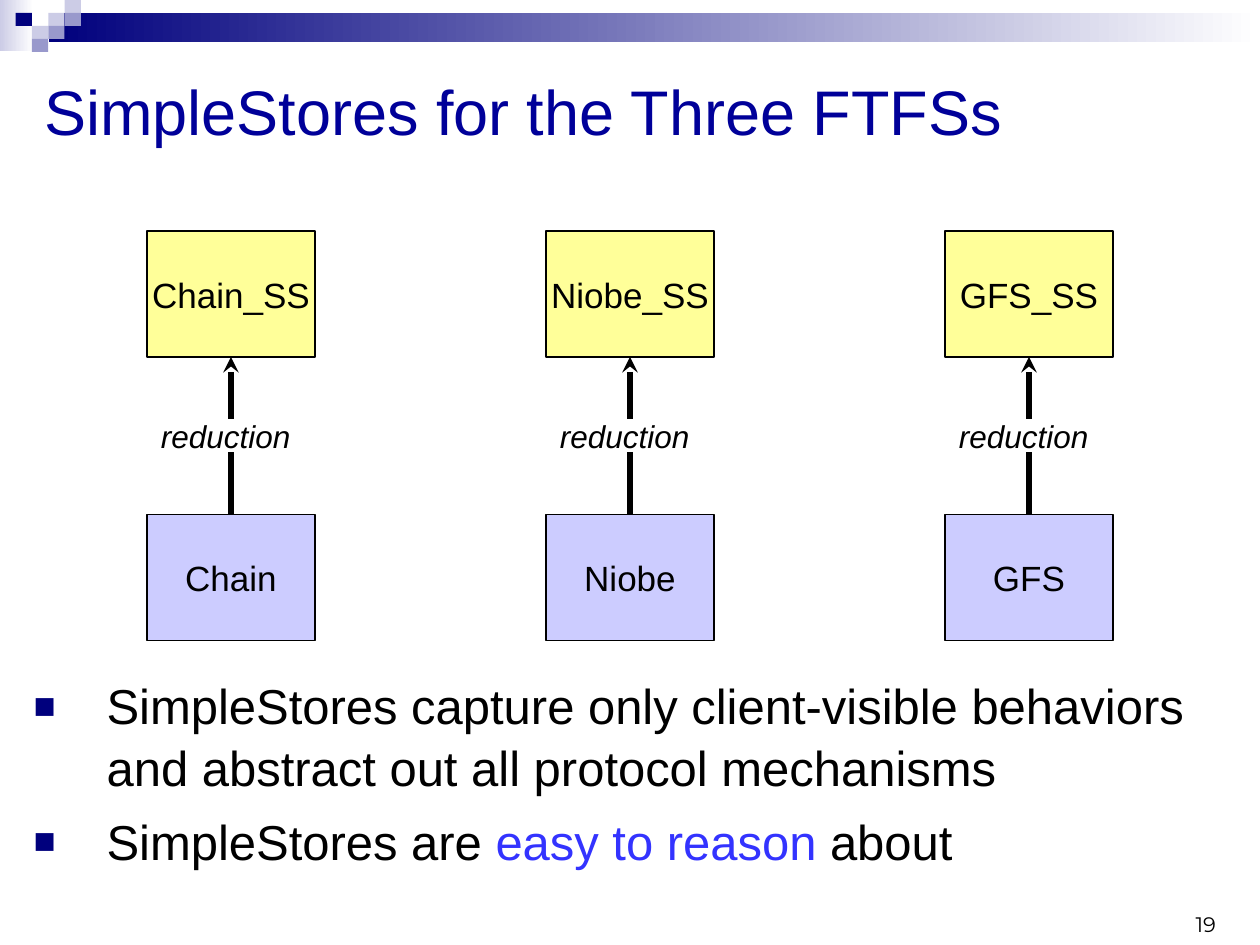
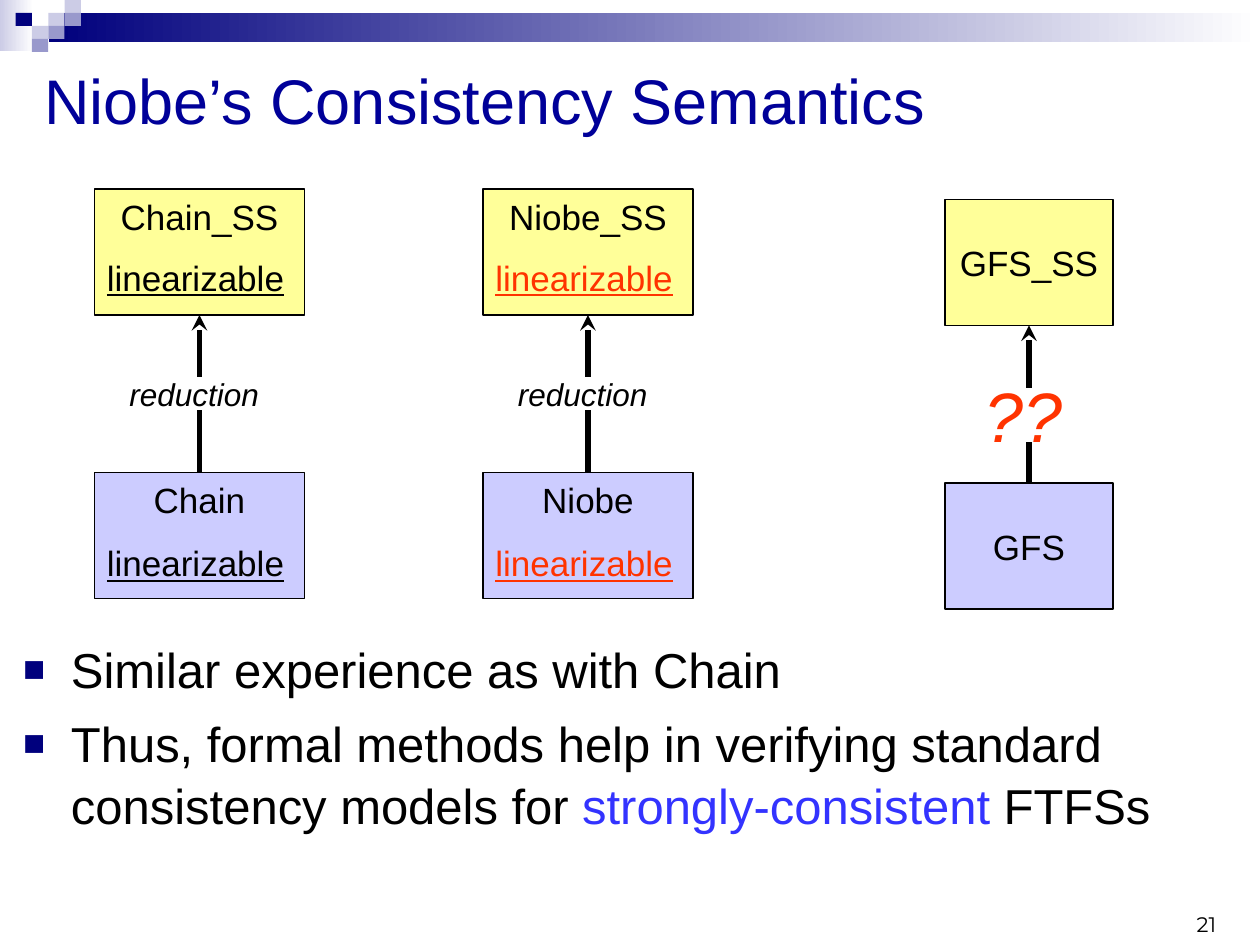
"""Build two slides that reduce storage protocols to their SimpleStores."""
from dataclasses import dataclass

from lxml import etree
from pptx import Presentation
from pptx.dml.color import RGBColor
from pptx.enum.shapes import MSO_CONNECTOR, MSO_SHAPE
from pptx.enum.text import MSO_ANCHOR, MSO_AUTO_SIZE, PP_ALIGN
from pptx.oxml.ns import qn
from pptx.util import Emu, Inches, Pt

RECTANGLE = MSO_SHAPE.RECTANGLE
STRAIGHT = MSO_CONNECTOR.STRAIGHT
TOP, MIDDLE, BOTTOM = MSO_ANCHOR.TOP, MSO_ANCHOR.MIDDLE, MSO_ANCHOR.BOTTOM
LEFT, CENTER, RIGHT = PP_ALIGN.LEFT, PP_ALIGN.CENTER, PP_ALIGN.RIGHT
NO_FIT = MSO_AUTO_SIZE.NONE
TOP_SIDE, BOTTOM_SIDE = 0, 2
COLUMNS, ROWS = 120, 90


@dataclass(frozen=True)
class Theme:
    font: str = "Arial"
    number_font: str = "Montserrat"
    title_color: str = "000099"
    ink: str = "000000"
    paper: str = "FFFFFF"
    accent: str = "3333FF"
    alert: str = "FF3300"
    store: str = "FFFF99"
    protocol: str = "CCCCFF"
    navy: str = "00007D"
    tile: str = "9999CC"
    pale_tile: str = "CCCCE6"
    title_size: int = 36
    body_size: int = 28
    box_size: int = 20
    label_size: int = 18
    question_size: int = 40
    number_size: int = 12
    outline: float = 0.75
    arrow: float = 3


class Deck:
    def __init__(self, theme):
        self.theme = theme
        self.presentation = Presentation()
        self.presentation.slide_width = Inches(10)
        self.presentation.slide_height = Inches(7.5)
        self.slide = None

    def place(self, column, row, width, height):
        cell_width = self.presentation.slide_width / COLUMNS
        cell_height = self.presentation.slide_height / ROWS
        return [Emu(round(value)) for value in (
            column * cell_width, row * cell_height,
            width * cell_width, height * cell_height)]

    def move(self, shape, cells):
        shape.left, shape.top, shape.width, shape.height = self.place(*cells)

    def style(self, run, size, color=None, font=None):
        run.font.size = Pt(size)
        run.font.name = font or self.theme.font
        run.font.color.rgb = RGBColor.from_string(color or self.theme.ink)

    def label(self, shape, text, size, color=None, font=None,
              align=LEFT, anchor=TOP, wrap=True):
        frame = shape.text_frame
        frame.text = text
        frame.word_wrap = wrap
        frame.auto_size = NO_FIT
        frame.vertical_anchor = anchor
        paragraph = frame.paragraphs[0]
        paragraph.alignment = align
        run = paragraph.runs[0]
        self.style(run, size, color, font)
        return run

    def rectangle(self, cells, fill, line=None):
        shape = self.slide.shapes.add_shape(RECTANGLE, *self.place(*cells))
        shape.shadow.inherit = False
        if isinstance(fill, tuple):
            shape.fill.gradient()
            shape.fill.gradient_angle = 180
            for stop, color in zip(shape.fill.gradient_stops, fill):
                stop.color.rgb = RGBColor.from_string(color)
        else:
            shape.fill.solid()
            shape.fill.fore_color.rgb = RGBColor.from_string(fill)
        if line:
            shape.line.color.rgb = RGBColor.from_string(line)
            shape.line.width = Pt(self.theme.outline)
        else:
            shape.line.fill.background()
        return shape

    def textbox(self, cells, text, size, **options):
        shape = self.slide.shapes.add_textbox(*self.place(*cells))
        return self.label(shape, text, size, **options)

    def header(self):
        theme = self.theme
        self.rectangle((0, 0, 3.2, 4.9), (theme.paper, theme.pale_tile))
        self.rectangle((4.7, 1.2, 115.3, 2.8), (theme.paper, theme.navy))
        width, height = 1.55, 1.24
        for column, row, color in (
                (2, 1, theme.pale_tile), (3, 0, theme.pale_tile),
                (3, 1, theme.tile), (1, 2, theme.pale_tile),
                (0, 1, theme.navy), (2, 2, theme.tile), (1, 3, theme.tile)):
            self.rectangle((1.5 + column * width, row * height, width, height), color)

    def add_slide(self, title, title_row, number):
        theme = self.theme
        layout = self.presentation.slide_layouts[1]
        self.slide = self.presentation.slides.add_slide(layout)
        self.header()
        self.textbox((89, 86, 28, 3.8), number, theme.number_size,
                     font=theme.number_font, align=RIGHT, anchor=BOTTOM)
        shape = self.slide.shapes.title
        self.move(shape, (3, title_row, 115, 11))
        self.label(shape, title, theme.title_size, theme.title_color, anchor=MIDDLE)

    def bullets(self, cells, items, indent):
        theme = self.theme
        body = self.slide.placeholders[1]
        self.move(body, cells)
        frame = body.text_frame
        frame.auto_size = NO_FIT
        for index, segments in enumerate(items):
            paragraph = frame.add_paragraph() if index else frame.paragraphs[0]
            paragraph.space_before = Pt(7)
            paragraph.line_spacing = 1.05
            for text, color in segments:
                run = paragraph.add_run()
                run.text = text
                self.style(run, theme.body_size, color)
            self.bullet(paragraph, Inches(indent))

    def bullet(self, paragraph, indent):
        properties = paragraph._p.get_or_add_pPr()
        properties.set("marL", str(indent))
        properties.set("indent", str(-indent))
        color = etree.SubElement(properties, qn("a:buClr"))
        etree.SubElement(color, qn("a:srgbClr"), val=self.theme.navy)
        etree.SubElement(properties, qn("a:buSzPct"), val="75000")
        etree.SubElement(properties, qn("a:buFont"), typeface=self.theme.font)
        etree.SubElement(properties, qn("a:buChar"), char="■")

    def box(self, cells, text, fill, anchor):
        shape = self.rectangle(cells, fill, self.theme.ink)
        self.label(shape, text, self.theme.box_size, align=CENTER,
                   anchor=anchor, wrap=False)
        return shape

    def arrow(self, lower, upper):
        connector = self.slide.shapes.add_connector(STRAIGHT, 0, 0, 0, 0)
        connector.begin_connect(lower, TOP_SIDE)
        connector.end_connect(upper, BOTTOM_SIDE)
        connector.line.color.rgb = RGBColor.from_string(self.theme.ink)
        connector.line.width = Pt(self.theme.arrow)
        properties = connector._element.spPr
        etree.SubElement(properties.find(qn("a:ln")), qn("a:tailEnd"), type="stealth")
        etree.SubElement(properties, qn("a:effectLst"))

    def reduction(self, name, column, row, width=16, anchor=MIDDLE, known=True):
        theme = self.theme
        upper = self.box((column, row, width, 12), f"{name}_SS", theme.store, anchor)
        lower = self.box((column, row + 27, width, 12), name, theme.protocol, anchor)
        self.arrow(lower, upper)
        label_column = column + (width - 18) / 2
        plate = self.rectangle((label_column, row + 18, 17, 3 if known else 5),
                               theme.paper, theme.paper)
        text, size, color = (("reduction", theme.label_size, theme.ink) if known
                             else ("??", theme.question_size, theme.alert))
        run = self.label(plate, text, size, color, align=CENTER,
                         anchor=MIDDLE, wrap=False)
        run.font.italic = True

    def property_notes(self, column, row, color):
        for note_row in (row + 5.8, row + 33):
            run = self.textbox((column, note_row, 23, 6.2), "linearizable",
                               self.theme.box_size, color=color)
            run.font.underline = True


def simple_stores(deck):
    theme = deck.theme
    deck.add_slide("SimpleStores for the Three FTFSs", 5, "19")
    for index, name in enumerate(("Chain", "Niobe", "GFS")):
        deck.reduction(name, 14 + 38 * index, 22)
    deck.bullets((2, 63.5, 116, 25.5), [
        [("SimpleStores capture only client-visible behaviors "
          "and abstract out all protocol mechanisms", theme.ink)],
        [("SimpleStores are ", theme.ink), ("easy to reason", theme.accent),
         (" about", theme.ink)],
    ], 0.58)


def consistency(deck):
    theme = deck.theme
    deck.add_slide("Niobe’s Consistency Semantics", 4, "21")
    for name, column, color in (("Chain", 9, theme.ink), ("Niobe", 46, theme.alert)):
        deck.reduction(name, column, 18, width=20, anchor=TOP)
        deck.property_notes(column, 18, color)
    deck.reduction("GFS", 90, 19, known=False)
    deck.bullets((1, 60, 117, 28), [
        [("Similar experience as with Chain", theme.ink)],
        [("Thus, formal methods help in verifying standard "
          "consistency models for", theme.ink),
         (" strongly-consistent ", theme.accent), ("FTFSs", theme.ink)],
    ], 0.38)


def main():
    deck = Deck(Theme())
    simple_stores(deck)
    consistency(deck)
    deck.presentation.save("out.pptx")


if __name__ == "__main__":
    main()
